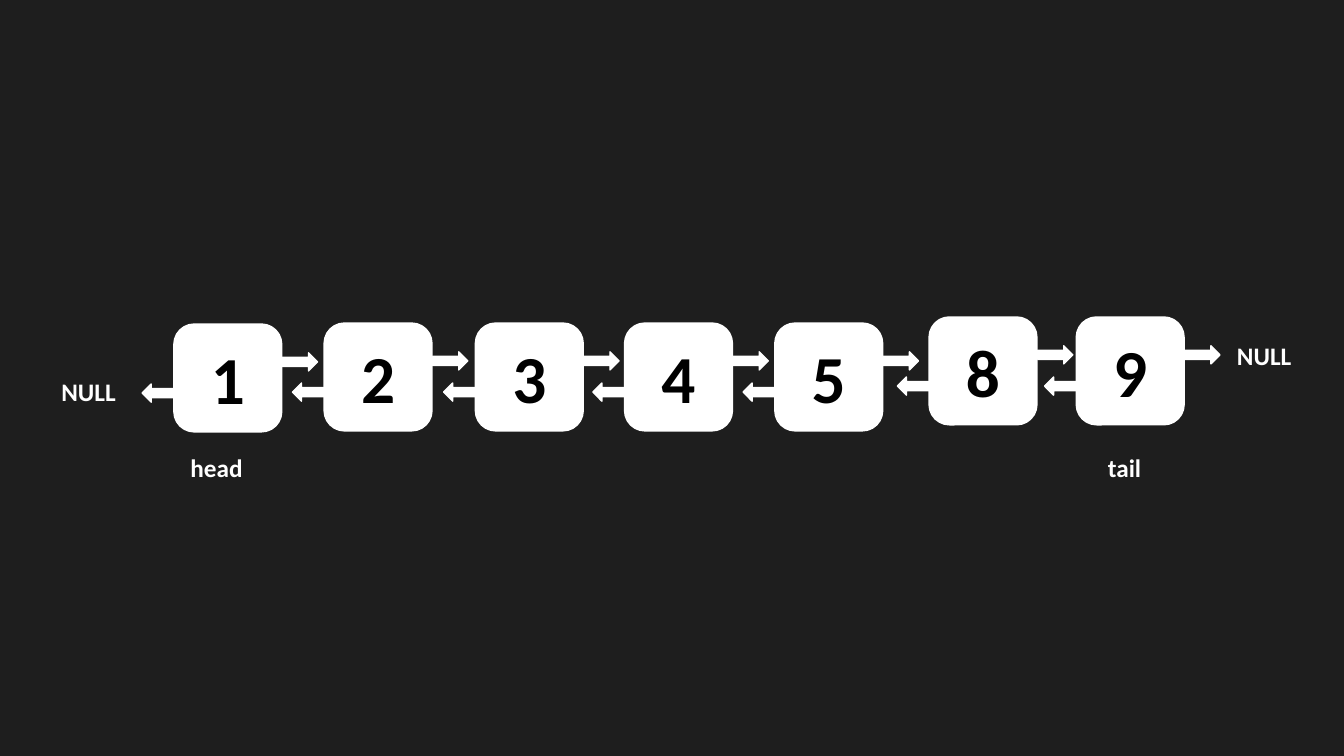
import pptx
import pptx.dml.color
import pptx.enum.shapes
import pptx.enum.text
import pptx.util

SHAPES = pptx.enum.shapes.MSO_SHAPE
ALIGN = pptx.enum.text.PP_ALIGN
CELL = pptx.util.Inches(1)  # one grid cell is the size of one list node
FONT = "Calibri"
WHITE, BLACK, CHARCOAL = "FFFFFF", "000000", "1E1E1E"
ARROW_WIDTH, ARROW_HEIGHT = 0.35, 0.18

# value, column, row
NODES = [
    ("1", 1.76, 3.25),
    ("2", 3.25, 3.24),
    ("3", 4.75, 3.24),
    ("4", 6.23, 3.24),
    ("5", 7.72, 3.24),
    ("8", 9.25, 3.18),
    ("9", 10.71, 3.18),
]

# text, column, row, width
LABELS = [
    ("head", 1.79, 4.44, 0.72),
    ("tail", 10.89, 4.44, 0.53),
    ("NULL", 0.51, 3.68, 0.75),
    ("NULL", 12.17, 3.33, 0.75),
]


def cells(*counts):
    """Turn counts of grid cells into lengths."""
    return [round(count * CELL) for count in counts]


def color(hex_string):
    return pptx.dml.color.RGBColor.from_string(hex_string)


def write(shape, text, size, hex_string, align):
    para = shape.text_frame.paragraphs[0]
    para.text = text
    para.alignment = align
    para.font.name = FONT
    para.font.size = pptx.util.Pt(size)
    para.font.bold = True
    para.font.color.rgb = color(hex_string)


def add_white_shape(group, kind, column, row, width, height, line_width):
    shape = group.shapes.add_shape(kind, *cells(column, row, width, height))
    shape.shadow.inherit = False
    shape.fill.solid()
    shape.fill.fore_color.rgb = color(WHITE)
    shape.line.color.rgb = color(WHITE)
    shape.line.width = pptx.util.Pt(line_width)
    return shape


def add_node(page, value, column, row):
    """Add a list node with its previous and next pointers."""
    group = page.shapes.add_group_shape()
    box = add_white_shape(group, SHAPES.ROUNDED_RECTANGLE, column, row, 1, 1, 6)
    box.text_frame.vertical_anchor = pptx.enum.text.MSO_ANCHOR.MIDDLE
    write(box, value, 48, BLACK, ALIGN.CENTER)
    pointers = [
        (SHAPES.LEFT_ARROW, column - ARROW_WIDTH, row + 0.56),
        (SHAPES.RIGHT_ARROW, column + 1.04, row + 0.25),
    ]
    for kind, left, top in pointers:
        add_white_shape(group, kind, left, top, ARROW_WIDTH, ARROW_HEIGHT, 1)


def add_label(page, text, column, row, width):
    box = page.shapes.add_textbox(*cells(column, row, width, 0.4))
    box.text_frame.word_wrap = False
    box.text_frame.auto_size = pptx.enum.text.MSO_AUTO_SIZE.SHAPE_TO_FIT_TEXT
    write(box, text, 18, WHITE, ALIGN.LEFT)


def main():
    deck = pptx.Presentation()
    deck.slide_width, deck.slide_height = cells(13.33, 7.5)
    page = deck.slides.add_slide(deck.slide_layouts[6])
    page.background.fill.solid()
    page.background.fill.fore_color.rgb = color(CHARCOAL)
    for node in NODES:
        add_node(page, *node)
    for label in LABELS:
        add_label(page, *label)
    deck.save("out.pptx")


if __name__ == "__main__":
    main()
